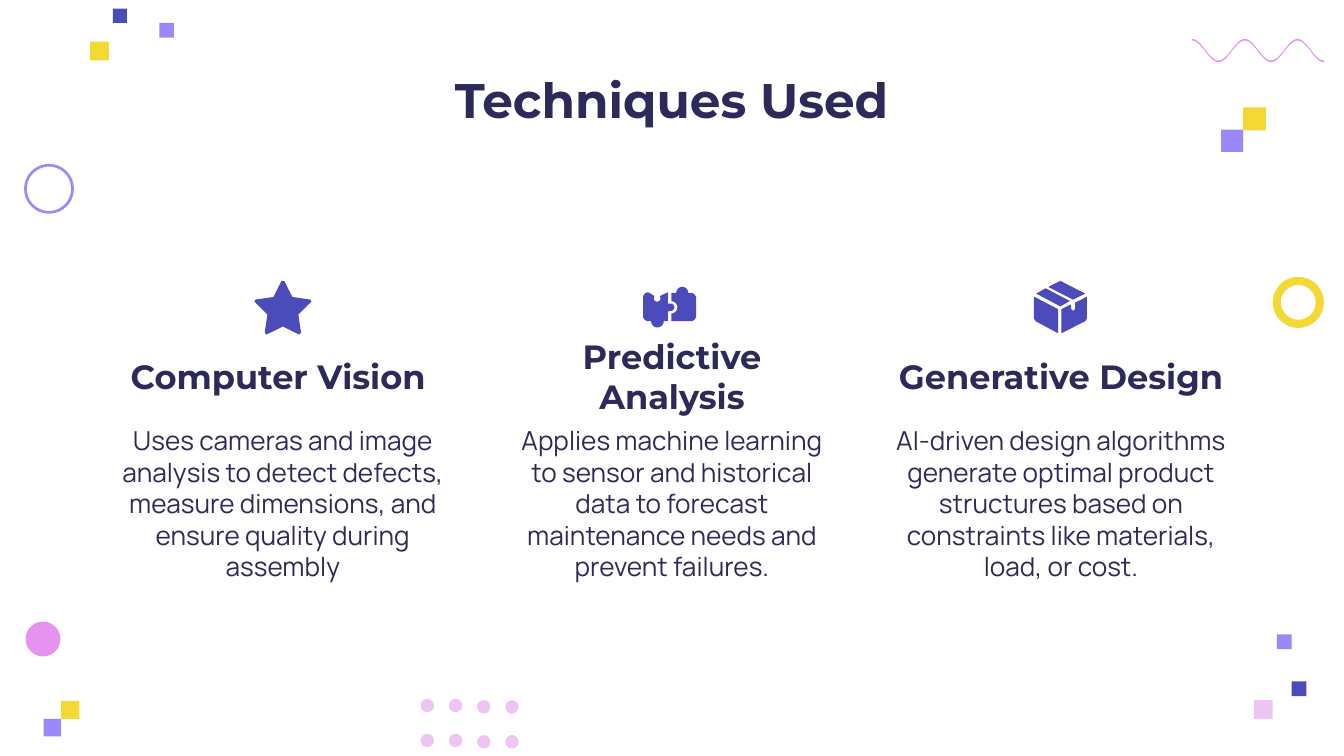
"""Builds the "Techniques Used" slide on a grid of 1000 columns, each 0.01 inch."""
import math
from dataclasses import dataclass

import pptx
import pptx.dml.color
import pptx.enum.shapes
import pptx.enum.text
import pptx.util

SHAPE = pptx.enum.shapes.MSO_SHAPE


@dataclass(frozen=True)
class Theme:
    """Colours, fonts and type sizes."""
    ink: str = "2D2958"
    indigo: str = "4B4BBB"
    violet: str = "9C88FA"
    yellow: str = "F4D834"
    pink: str = "E592F1"
    blush: str = "EDC4F2"
    heading_font: str = "Montserrat"
    body_font: str = "Manrope"
    title_size: int = 26
    heading_size: int = 18
    body_size: int = 14


THEME = Theme()

TECHNIQUES = [
    ("Computer Vision ",
     "Uses cameras and image analysis to detect defects, measure dimensions, "
     "and ensure quality during assembly"),
    ("Predictive Analysis",
     "Applies machine learning to sensor and historical data to forecast "
     "maintenance needs and prevent failures."),
    ("Generative Design",
     "AI-driven design algorithms generate optimal product structures based on "
     "constraints like materials, load, or cost."),
]

SQUARES = [
    (67, 31, 14, THEME.yellow), (118.5, 17, 11, THEME.violet),
    (84, 6.5, 10.5, THEME.indigo), (925, 80, 17, THEME.yellow),
    (908.5, 96.5, 16.5, THEME.violet), (933, 521, 14, THEME.blush),
    (950, 472, 11, THEME.violet), (961, 507, 11, THEME.indigo),
    (45.5, 521.5, 13.5, THEME.yellow), (32.5, 535, 13, THEME.violet),
]


def cells(count):
    """Convert grid cells to a length."""
    return pptx.util.Inches(count / 100)


def paint(shape, colour):
    """Give a shape a flat fill with no line or shadow."""
    shape.shadow.inherit = False
    shape.fill.solid()
    shape.fill.fore_color.rgb = pptx.dml.color.RGBColor.from_string(colour)
    shape.line.fill.background()


def add_square(slide, left, top, side, colour):
    """Add a filled square."""
    square = slide.shapes.add_shape(
        SHAPE.RECTANGLE, cells(left), cells(top), cells(side), cells(side))
    paint(square, colour)


def add_round(slide, centre_x, centre_y, radius, colour, thickness=None):
    """Add a disc, or a ring when a thickness is given."""
    disc = slide.shapes.add_shape(
        SHAPE.DONUT if thickness else SHAPE.OVAL,
        cells(centre_x - radius), cells(centre_y - radius),
        cells(2 * radius), cells(2 * radius))
    if thickness:
        disc.adjustments[0] = thickness / (2 * radius)
    paint(disc, colour)


def add_outline(slide, points, colour):
    """Add a filled closed outline through grid points."""
    corners = [(cells(x), cells(y)) for x, y in points]
    builder = slide.shapes.build_freeform(*corners[0], scale=1.0)
    builder.add_line_segments(corners[1:], close=True)
    paint(builder.convert_to_shape(), colour)


def arc(centre_x, centre_y, radius, start, end):
    """Return points along an arc, angles in degrees clockwise from the right."""
    steps = 12
    angles = [math.radians(start + (end - start) * i / steps) for i in range(steps + 1)]
    return [(centre_x + radius * math.cos(a), centre_y + radius * math.sin(a))
            for a in angles]


def add_text(slide, box, text, font_name, size, bold):
    """Add a centred text box."""
    frame = slide.shapes.add_textbox(*map(cells, box)).text_frame
    frame.word_wrap = True
    frame.vertical_anchor = pptx.enum.text.MSO_ANCHOR.MIDDLE
    frame.margin_left = frame.margin_right = cells(10)
    frame.margin_top = frame.margin_bottom = cells(10)
    paragraph = frame.paragraphs[0]
    paragraph.text = text
    paragraph.alignment = pptx.enum.text.PP_ALIGN.CENTER
    paragraph.font.name = font_name
    paragraph.font.size = pptx.util.Pt(size)
    paragraph.font.bold = bold
    paragraph.font.color.rgb = pptx.dml.color.RGBColor.from_string(THEME.ink)


def add_wave(slide):
    """Add the thin wave of two and a half periods."""
    left, width, steps = 887, 98, 100
    crest = [(left + width * i / steps,
              37 - 8 * math.cos(5 * math.pi * i / steps)) for i in range(steps + 1)]
    trough = [(x, y + 1.2) for x, y in reversed(crest)]
    add_outline(slide, crest + trough, THEME.pink)


def add_decorations(slide):
    """Add the squares, dots, rings and wave around the edges."""
    for column in range(4):
        for row in range(2):
            add_round(slide, 318 + 21 * column, 525 + 26 * row + column // 2,
                      5, THEME.blush)
    for square in SQUARES:
        add_square(slide, *square)
    add_round(slide, 966, 225, 19, THEME.yellow, 6)
    add_round(slide, 36.5, 140.5, 18.5, THEME.violet, 2)
    add_round(slide, 32, 475.5, 13, THEME.pink)
    add_wave(slide)


def add_star(slide):
    """Add the star icon with blunted tips."""
    right = [(211.5, 209), (217.5, 221), (231, 223), (231.7, 224.5), (222, 234),
             (224, 247.5), (222.7, 249), (210.5, 243)]
    left = [(421 - x, y) for x, y in reversed(right)]
    add_outline(slide, right + left, THEME.indigo)


def add_puzzle(slide):
    """Add the two interlocking puzzle pieces."""
    left_piece = (arc(482.5, 221.5, 4, 180, 270) + arc(489, 222, 2.5, 220, -40)
                  + [(497, 217.5), (497, 226)] + arc(499, 228.7, 2.8, -110, 110)
                  + [(497, 232), (497, 239)] + arc(489.2, 239, 4.7, 0, 180)
                  + arc(482.5, 235, 4, 90, 180))
    right_piece = ([(499.5, 218), (503, 218)] + arc(507.7, 218, 4.5, 180, 360)
                   + arc(514, 222, 4, 270, 360) + arc(514, 235, 4, 0, 90)
                   + [(499.5, 239), (499.5, 233)] + arc(499.5, 228.7, 4.6, 90, -90))
    for piece in (left_piece, right_piece):
        add_outline(slide, piece, THEME.indigo)


def add_parcel(slide):
    """Add the parcel icon from its four faces."""
    faces = [
        [(778, 214.5), (771, 218.5), (789, 228), (796, 224)],
        [(789, 209), (780, 213.5), (798.5, 223), (807.5, 218.5)],
        [(769.3, 220.7), (769.3, 237), (770.5, 239), (787.3, 248), (787.3, 230)],
        [(808.7, 220.7), (800, 225.2), (800, 230), (798.5, 231.3), (797, 230),
         (797, 226.5), (789.7, 230), (789.7, 248), (807.5, 239), (808.7, 237)],
    ]
    for face in faces:
        add_outline(slide, face, THEME.indigo)


def add_technique(slide, column, heading, description):
    """Add the heading and description of one column."""
    left, width = 78 + 289.5 * column, 265
    add_text(slide, (left, 260, width, 40), heading,
             THEME.heading_font, THEME.heading_size, True)
    add_text(slide, (left, 333, width, 83), description,
             THEME.body_font, THEME.body_size, False)


def main():
    """Build and save the slide."""
    deck = pptx.Presentation()
    deck.slide_width, deck.slide_height = cells(1000), cells(562.5)
    slide = deck.slides.add_slide(deck.slide_layouts[6])
    add_decorations(slide)
    add_text(slide, (83, 42, 834, 63), "Techniques Used",
             THEME.heading_font, THEME.title_size, True)
    for column, technique in enumerate(TECHNIQUES):
        add_technique(slide, column, *technique)
    add_star(slide)
    add_puzzle(slide)
    add_parcel(slide)
    deck.save("out.pptx")


if __name__ == "__main__":
    main()
